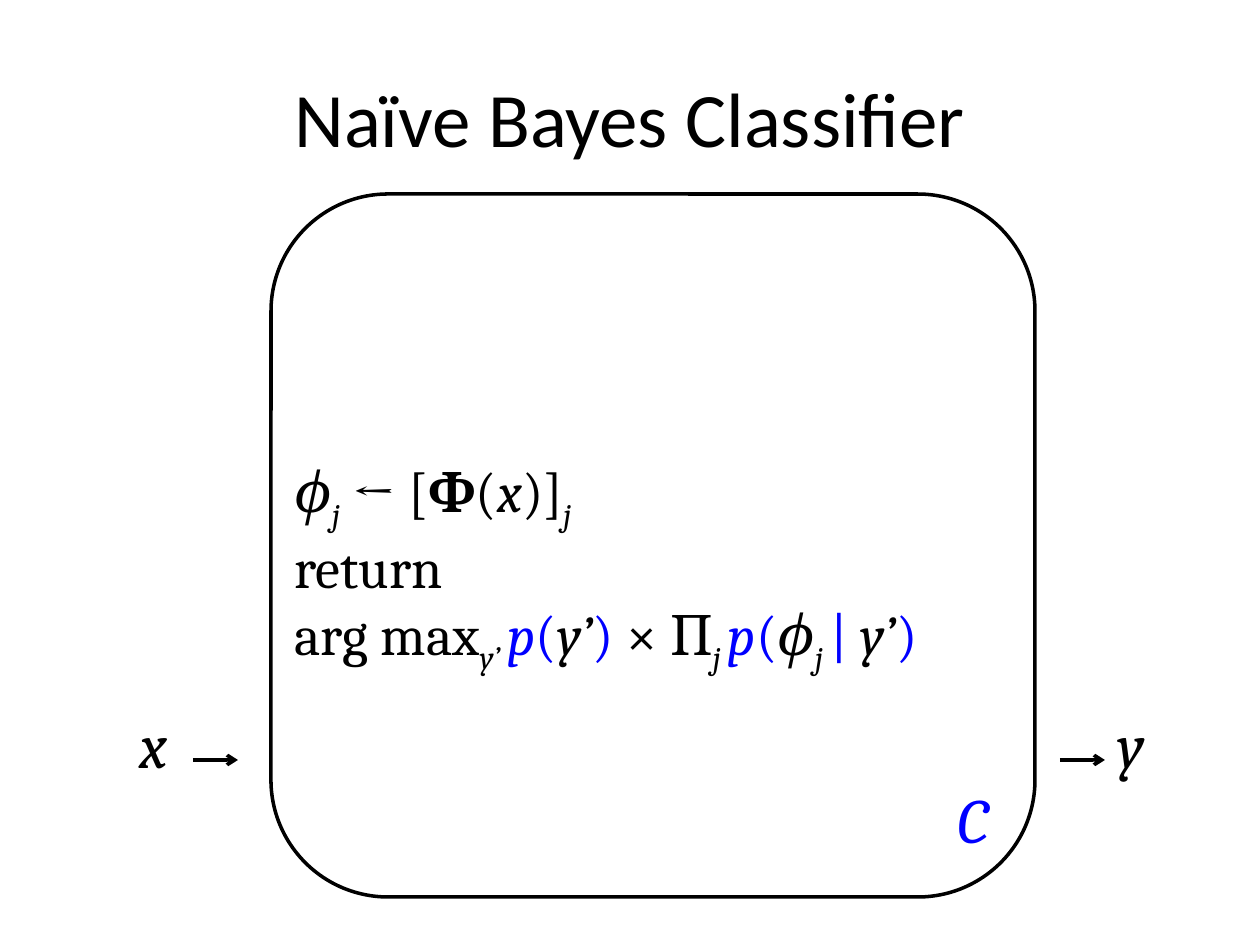
from lxml import etree
from pptx import Presentation
from pptx.dml.color import RGBColor
from pptx.enum.shapes import MSO_CONNECTOR, MSO_SHAPE
from pptx.enum.text import MSO_ANCHOR, MSO_AUTO_SIZE, PP_ALIGN
from pptx.oxml.ns import qn
from pptx.util import Emu, Pt

SCALE = 914400 // 126
BLACK, BLUE, WHITE = "000000", "0000FF", "FFFFFF"
CENTER, RIGHT = PP_ALIGN.CENTER, PP_ALIGN.RIGHT
MIDDLE, BOTTOM = MSO_ANCHOR.MIDDLE, MSO_ANCHOR.BOTTOM
FIT_SHAPE = MSO_AUTO_SIZE.SHAPE_TO_FIT_TEXT
ROUNDED, STRAIGHT = MSO_SHAPE.ROUNDED_RECTANGLE, MSO_CONNECTOR.STRAIGHT


def px(*lengths):
    """Turn pixel lengths into EMU."""
    return [Emu(length * SCALE) for length in lengths]


def style(font, name, size, color=BLACK, italic=False):
    """Set the typeface, size, colour and slant of a font."""
    font.name, font.size, font.italic = name, Pt(size), italic
    font.color.rgb = RGBColor.from_string(color)


deck = Presentation()
deck.slide_width, deck.slide_height = px(1260, 945)
page = deck.slides.add_slide(deck.slide_layouts[6])

# Title
title = page.shapes.add_textbox(*px(63, 38, 1134, 157)).text_frame
title.word_wrap = True
title.vertical_anchor = MIDDLE
para = title.paragraphs[0]
para.text = "Naïve Bayes Classifier"
para.alignment = CENTER
style(para.font, "Calibri", 44)

# Classifier box
classifier = page.shapes.add_shape(ROUNDED, *px(271, 194, 764, 703))
classifier.shadow.inherit = False
classifier.fill.solid()
classifier.fill.fore_color.rgb = RGBColor.from_string(WHITE)
classifier.line.color.rgb = RGBColor.from_string(BLACK)
classifier.line.width = Pt(2)
classifier.text_frame.vertical_anchor = BOTTOM
para = classifier.text_frame.paragraphs[0]
para.text = "C"
para.alignment = RIGHT
style(para.font, "Cambria", 36, BLUE, True)

# Input and output, each with its arrow
for name, label_left, arrow_left in (("x", 127, 193), ("y", 1105, 1060)):
    label = page.shapes.add_textbox(*px(label_left, 699, 59, 89)).text_frame
    label.word_wrap = False
    label.auto_size = FIT_SHAPE
    para = label.paragraphs[0]
    para.text = name
    style(para.font, "Cambria", 36, BLACK, True)

    arrow = page.shapes.add_connector(
        STRAIGHT, *px(arrow_left, 760, arrow_left + 45, 760))
    arrow.line.color.rgb = RGBColor.from_string(BLACK)
    arrow.line.width = Pt(2)
    etree.SubElement(arrow.line._get_or_add_ln(), qn("a:tailEnd"), type="arrow")
    etree.SubElement(arrow._element.spPr, qn("a:effectLst"))

# Decision rule; flags: i italic, b bold, s subscript, c blue
FORMULA = [
    [("ϕ", "i"), ("j", "is"), (" ← [", ""), ("Φ", "b"), ("(", ""),
     ("x", "i"), (")]", ""), ("j", "is")],
    [("return ", ""), ("\n", ""), ("arg max", ""), ("y’ ", "is"),
     ("p", "ic"), ("(", "c"), ("y’", "i"), (")", "c"), (" × Π", ""),
     ("j ", "is"), ("p", "ic"), ("(", "c"), ("ϕ", "i"), ("j ", "is"),
     ("| ", "c"), ("y’", "i"), (")", "c")],
]
rule = page.shapes.add_textbox(*px(282, 450, 733, 217)).text_frame
rule.word_wrap = True
rule.auto_size = FIT_SHAPE
for index, pieces in enumerate(FORMULA):
    para = rule.add_paragraph() if index else rule.paragraphs[0]
    style(para.font, "Cambria", 32)
    for text, flags in pieces:
        if text == "\n":
            para.add_line_break()
            continue
        span = para.add_run()
        span.text = text
        style(span.font, "Cambria", 32, BLUE if "c" in flags else BLACK,
              "i" in flags)
        span.font.bold = "b" in flags
        if "s" in flags:
            span.font._element.set("baseline", "-25000")

deck.save("out.pptx")
